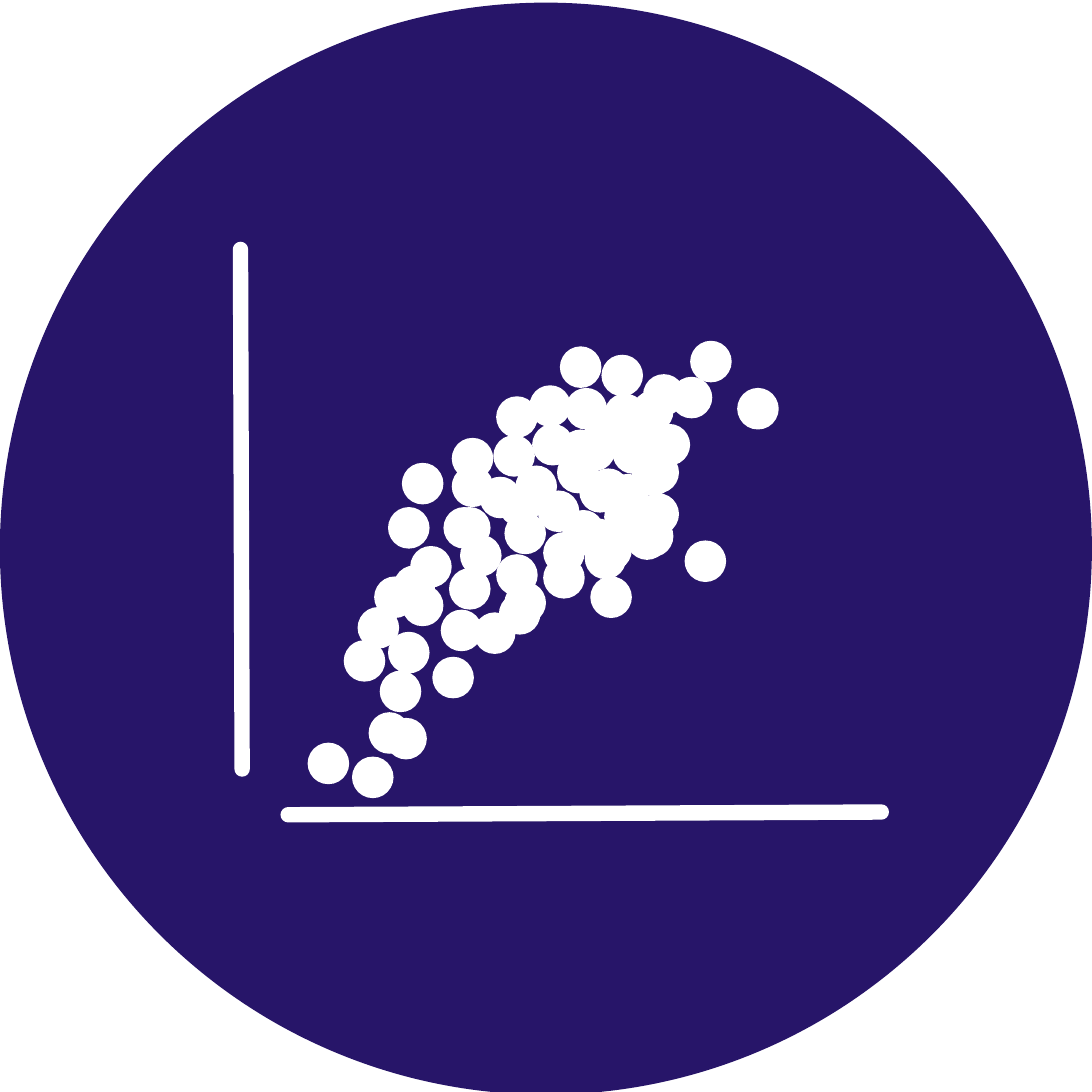
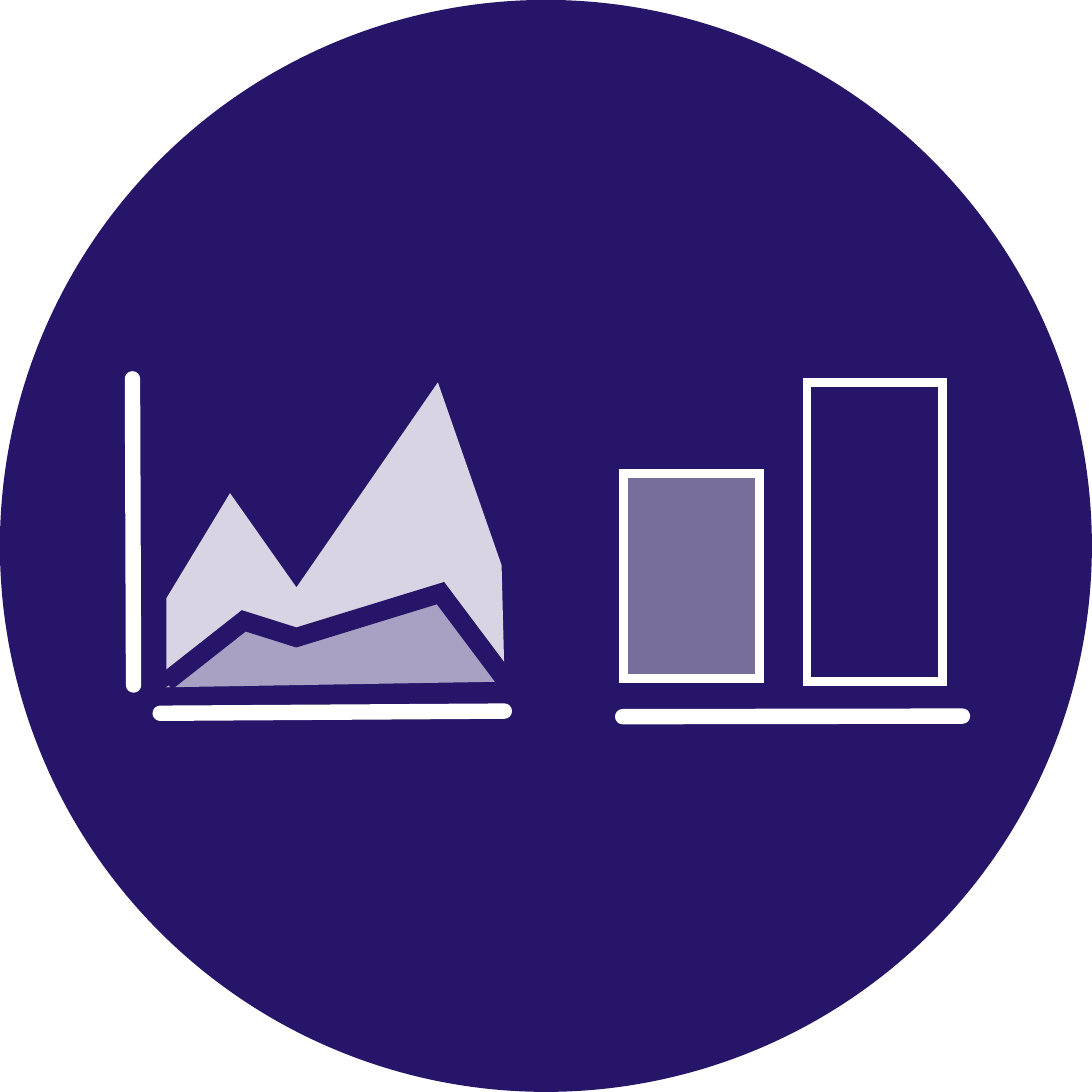
import pptx
import pptx.util
import pptx.dml.color
import pptx.enum.shapes
import pptx.oxml.ns
import lxml.etree

# Shared colours and measures: a grid of 394 columns and rows
NAVY, WHITE, GREY = "271569", "FFFFFF", "D9D9D9"
SIDE = 394
DOT = 15
CELL = pptx.util.Inches(0.01)
KIND = pptx.enum.shapes.MSO_SHAPE
qn = pptx.oxml.ns.qn


def paint(shape, fill=None, alpha=100, edge=None, width=0):
    """Set fill, opacity in percent and outline, without a shadow."""
    props = shape.element.spPr
    if fill:
        shape.fill.solid()
        shape.fill.fore_color.rgb = pptx.dml.color.RGBColor.from_string(fill)
        if alpha < 100:
            tone = props.find(qn("a:solidFill"))[0]
            lxml.etree.SubElement(tone, qn("a:alpha"), val=str(alpha * 1000))
    elif hasattr(shape, "fill"):
        shape.fill.background()
    if edge:
        shape.line.color.rgb = pptx.dml.color.RGBColor.from_string(edge)
        shape.line.width = pptx.util.Pt(width)
        lxml.etree.SubElement(props.find(qn("a:ln")), qn("a:miter"), lim="800000")
    else:
        shape.line.fill.background()
    if hasattr(shape, "shadow"):
        shape.shadow.inherit = False
    else:
        lxml.etree.SubElement(props, qn("a:effectLst"))


def axis(shapes, *ends):
    """Draw a white axis with round ends."""
    line = shapes.add_connector(
        pptx.enum.shapes.MSO_CONNECTOR.STRAIGHT, *[round(end * CELL) for end in ends])
    paint(line, edge=WHITE, width=4)
    line.element.spPr.find(qn("a:ln")).set("cap", "rnd")


deck = pptx.Presentation()
deck.slide_width = deck.slide_height = SIDE * CELL

# Both slides stand on a navy disc
pages = []
for top in (1, 0):
    page = deck.slides.add_slide(deck.slide_layouts[6])
    disc = page.shapes.add_shape(KIND.OVAL, 0, top * CELL, SIDE * CELL, SIDE * CELL)
    paint(disc, NAVY)
    pages.append(page.shapes)
cloud, charts = pages

# Slide 1: scatter cloud
axis(cloud, 86.8, 90, 87.4, 277.5)
axis(cloud, 318, 293, 104, 294)
dots = [
    (111, 268), (127, 273), (148, 197), (145, 167), (213, 208), (180, 214),
    (162, 183), (179, 200), (142, 204), (171, 221), (159, 220), (139, 259),
    (133, 257), (163, 158), (180, 175), (182, 185), (145, 211), (162, 205),
    (156, 237), (124, 231), (140, 228), (137, 242), (178, 157), (186, 168),
    (192, 153), (194, 177), (213, 191), (201, 163), (179, 143), (191, 139),
    (204, 140), (163, 168), (173, 172), (166, 193), (182, 210), (234, 153),
    (228, 152), (140, 183), (135, 208), (196, 192), (249, 123), (230, 178),
    (212, 169), (208, 187), (226, 187), (223, 155), (230, 163), (217, 172),
    (211, 147), (202, 125), (202, 155), (196, 201), (160, 183), (129, 219),
    (203, 184), (209, 170), (211, 194), (218, 179), (207, 155), (221, 156),
    (242, 136), (266, 140), (247, 195), (228, 186), (228, 141), (232, 135),
    (217, 128), (228, 164), (218, 142), (219, 171),
]
for left, top in dots:
    dot = cloud.add_shape(KIND.OVAL, left * CELL, top * CELL, DOT * CELL, DOT * CELL)
    paint(dot, WHITE)

# Slide 2, left: area chart with a navy line between the two areas
area = charts.add_group_shape().shapes
axis(area, 47.8, 136.7, 48.2, 247.2)
axis(area, 182, 256.6, 57.8, 257.4)
low = [(60, 247.5), (89, 226), (107, 232), (158, 216), (180, 246.5)]
high = [(60, 216), (83, 178), (107, 212), (157.5, 138), (181, 204),
        (182, 244), (158, 212), (107.5, 228), (89, 222), (60.5, 244)]
split = [(60, 246), (88.5, 224), (107, 230), (159, 214), (183, 246)]
for points, closed, look in (
    (low, True, {"fill": WHITE, "alpha": 60}),
    (high, True, {"fill": WHITE, "alpha": 82}),
    (split, False, {"edge": NAVY, "width": 5}),
):
    pen = area.build_freeform(*points[0], scale=CELL)
    pen.add_line_segments(points[1:], close=closed)
    paint(pen.convert_to_shape(), **look)

# Slide 2, right: two bars
bars = charts.add_group_shape().shapes
axis(bars, 347.3, 258.4, 224.7, 258.6)
for left, top, tall, fill in ((225, 171, 74, GREY), (291.2, 138, 108, None)):
    bar = bars.add_shape(
        KIND.RECTANGLE, round(left * CELL), top * CELL, 49 * CELL, tall * CELL)
    paint(bar, fill, 46, WHITE, 2.25)

deck.save("out.pptx")
